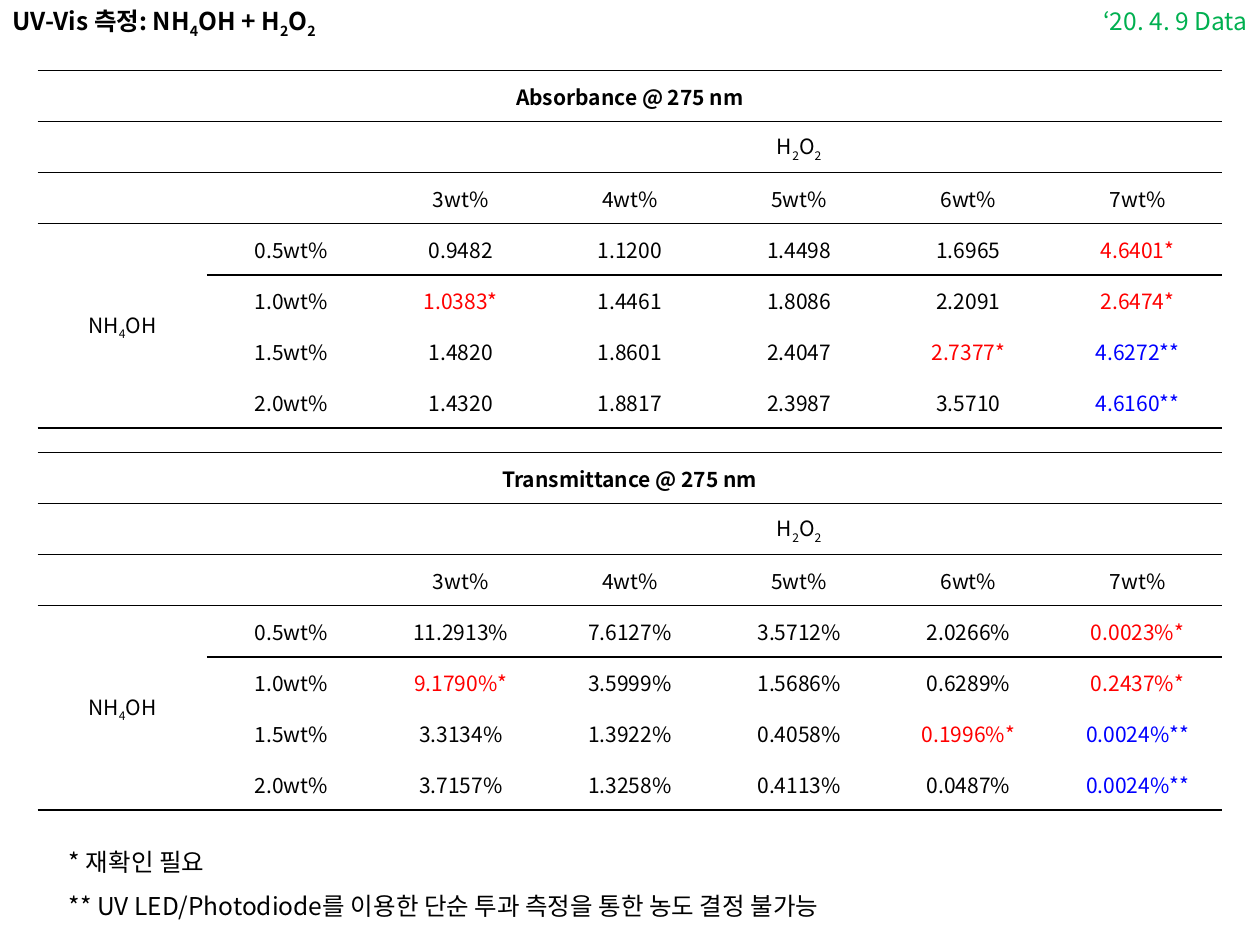
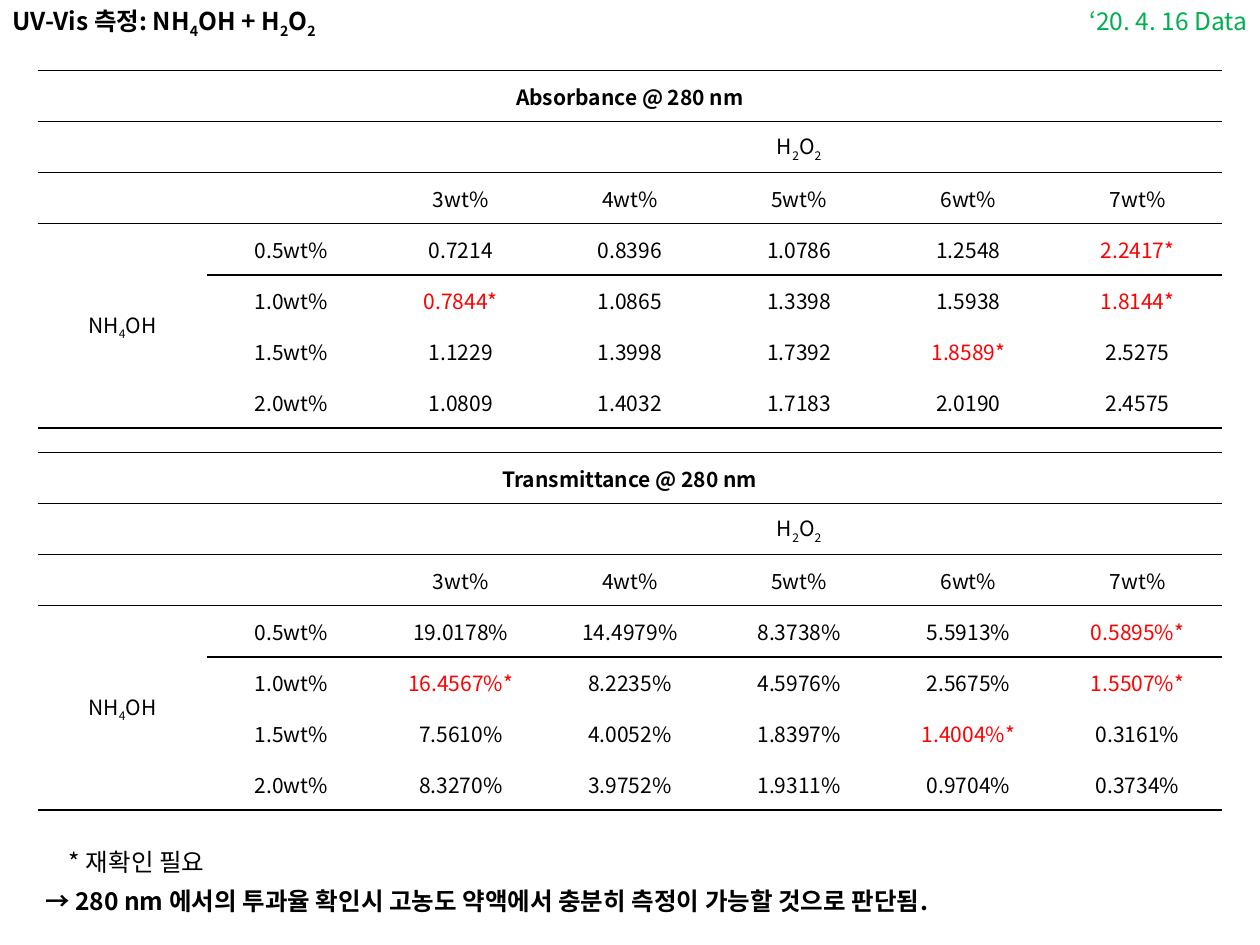
from dataclasses import dataclass

from lxml import etree
from pptx import Presentation
from pptx.dml.color import RGBColor
from pptx.enum.text import MSO_ANCHOR, MSO_AUTO_SIZE, PP_ALIGN
from pptx.oxml.ns import qn
from pptx.util import Cm, Pt

LEFT, CENTER, RIGHT = PP_ALIGN.LEFT, PP_ALIGN.CENTER, PP_ALIGN.RIGHT
MIDDLE = MSO_ANCHOR.MIDDLE
GROW = MSO_AUTO_SIZE.SHAPE_TO_FIT_TEXT


@dataclass(frozen=True)
class Theme:
    font: str = "Noto Sans CJK KR"
    text: str = "000000"
    date: str = "00B050"
    recheck: str = "FF0000"
    unusable: str = "0000FF"
    body_size: int = 14
    table_size: int = 12
    rule: float = 1


T = Theme()

# Content: "_" marks the next character as a subscript
TITLE = "UV-Vis 측정: NH_4OH + H_2O_2"
PEROXIDE, AMMONIA = "H_2O_2", "NH_4OH"
PEROXIDE_LEVELS = ["3wt%", "4wt%", "5wt%", "6wt%", "7wt%"]
AMMONIA_LEVELS = ["0.5wt%", "1.0wt%", "1.5wt%", "2.0wt%"]
RECHECK_NOTE = "* 재확인 필요"

SLIDES = [
    {
        "date": ("‘20. 4. 9 Data", 3.53),
        "tables": [
            ("Absorbance @ 275 nm", [
                ["0.9482", "1.1200", "1.4498", "1.6965", "4.6401*"],
                ["1.0383*", "1.4461", "1.8086", "2.2091", "2.6474*"],
                ["1.4820", "1.8601", "2.4047", "2.7377*", "4.6272**"],
                ["1.4320", "1.8817", "2.3987", "3.5710", "4.6160**"],
            ]),
            ("Transmittance @ 275 nm", [
                ["11.2913%", "7.6127%", "3.5712%", "2.0266%", "0.0023%*"],
                ["9.1790%*", "3.5999%", "1.5686%", "0.6289%", "0.2437%*"],
                ["3.3134%", "1.3922%", "0.4058%", "0.1996%*", "0.0024%**"],
                ["3.7157%", "1.3258%", "0.4113%", "0.0487%", "0.0024%**"],
            ]),
        ],
        # left, top, width, height in cm, lines, bold
        "notes": [
            ((1.14, 16.66, 16.99, 2.06),
             [RECHECK_NOTE,
              "** UV LED/Photodiode를 이용한 단순 투과 측정을 통한 농도 결정 불가능"], False),
        ],
    },
    {
        "date": ("‘20. 4. 16 Data", 3.81),
        "tables": [
            ("Absorbance @ 280 nm", [
                ["0.7214", "0.8396", "1.0786", "1.2548", "2.2417*"],
                ["0.7844*", "1.0865", "1.3398", "1.5938", "1.8144*"],
                ["1.1229", "1.3998", "1.7392", "1.8589*", "2.5275"],
                ["1.0809", "1.4032", "1.7183", "2.0190", "2.4575"],
            ]),
            ("Transmittance @ 280 nm", [
                ["19.0178%", "14.4979%", "8.3738%", "5.5913%", "0.5895%*"],
                ["16.4567%*", "8.2235%", "4.5976%", "2.5675%", "1.5507%*"],
                ["7.5610%", "4.0052%", "1.8397%", "1.4004%*", "0.3161%"],
                ["8.3270%", "3.9752%", "1.9311%", "0.9704%", "0.3734%"],
            ]),
        ],
        "notes": [
            ((1.14, 16.66, 3.56, 1.04), [RECHECK_NOTE], False),
            ((0.66, 17.45, 20.19, 1.14),
             ["→ 280 nm 에서의 투과율 확인시 고농도 약액에서 충분히 측정이 가능할 것으로 판단됨."], True),
        ],
    },
]

# Layout in cm
SLIDE_W, SLIDE_H = 25.4, 19.05
TABLE_LEFT, TABLE_TOPS, TABLE_W = 0.76, (1.42, 9.12), 23.88
ROW_H = 1.03
HEADER_H, TITLE_W = 0.86, 7.57

# Table rules: horizontal line index -> first column it spans
RULES = {0: 0, 1: 0, 2: 0, 3: 0, 4: 1, 7: 0}


def write(p, text, size, color=T.text, bold=False, align=LEFT):
    p.alignment = align
    font = p.font
    font.size, font.bold, font.name = Pt(size), bold, T.font
    font.color.rgb = RGBColor.from_string(color)
    etree.SubElement(font._rPr, qn("a:ea"), typeface=T.font)
    head, *rest = text.split("_")
    pieces = [(head, False)]
    for part in rest:
        pieces += [(part[0], True), (part[1:], False)]
    for piece, subscript in pieces:
        if piece:
            r = p.add_run()
            r.text = piece
            if subscript:
                r.font._rPr.set("baseline", "-25000")


def add_text(s, box, lines, color=T.text, bold=False, align=LEFT, spacing=None):
    tf = s.shapes.add_textbox(*map(Cm, box)).text_frame
    tf.word_wrap = False
    tf.auto_size = GROW
    for i, line in enumerate(lines):
        p = tf.add_paragraph() if i else tf.paragraphs[0]
        p.line_spacing = spacing
        write(p, line, T.body_size, color, bold, align)


def set_borders(cell, top, bottom):
    tcPr = cell._tc.get_or_add_tcPr()
    for tag, shown in (("lnL", False), ("lnR", False), ("lnT", top), ("lnB", bottom)):
        ln = etree.SubElement(tcPr, qn(f"a:{tag}"), w=str(Pt(T.rule)))
        fill = etree.SubElement(ln, qn("a:solidFill" if shown else "a:noFill"))
        if shown:
            etree.SubElement(fill, qn("a:srgbClr"), val=T.text)


def value_color(text):
    if text.endswith("**"):
        return T.unusable
    return T.recheck if text.endswith("*") else T.text


def add_data_table(s, top, heading, values):
    grid = [
        [heading] + [""] * 6,
        ["", "", PEROXIDE] + [""] * 4,
        ["", ""] + PEROXIDE_LEVELS,
    ]
    for i, (level, row) in enumerate(zip(AMMONIA_LEVELS, values)):
        grid.append(["" if i else AMMONIA, level] + row)
    n_rows, n_cols = len(grid), len(grid[0])

    frame = s.shapes.add_table(n_rows, n_cols, Cm(TABLE_LEFT), Cm(top),
                               Cm(TABLE_W), Cm(ROW_H * n_rows))
    table = frame.table
    table.first_row = table.horz_banding = False
    for row in table.rows:
        row.height = Cm(ROW_H)

    # Title row, peroxide heading, ammonia heading
    for first, last in (((0, 0), (0, 6)), ((1, 2), (1, 6)), ((3, 0), (6, 0))):
        table.cell(*first).merge(table.cell(*last))

    for i, row in enumerate(grid):
        for j, text in enumerate(row):
            cell = table.cell(i, j)
            cell.vertical_anchor = MIDDLE
            write(cell.text_frame.paragraphs[0], text, T.table_size,
                  value_color(text), i == 0, CENTER)
            end = i + (cell.span_height if cell.is_merge_origin else 1)
            set_borders(cell, *(j >= RULES.get(k, n_cols) for k in (i, end)))
            cell.fill.background()


def main():
    prs = Presentation()
    prs.slide_width, prs.slide_height = Cm(SLIDE_W), Cm(SLIDE_H)
    for content in SLIDES:
        s = prs.slides.add_slide(prs.slide_layouts[6])
        # Header
        add_text(s, (0, 0, TITLE_W, HEADER_H), [TITLE], bold=True)
        date, width = content["date"]
        add_text(s, (SLIDE_W - width, 0, width, HEADER_H), [date], T.date, align=RIGHT)
        # Measurements
        for top, (heading, values) in zip(TABLE_TOPS, content["tables"]):
            add_data_table(s, top, heading, values)
        # Footnotes
        for box, lines, bold in content["notes"]:
            add_text(s, box, lines, bold=bold, spacing=1.5)
    prs.save("out.pptx")


if __name__ == "__main__":
    main()
